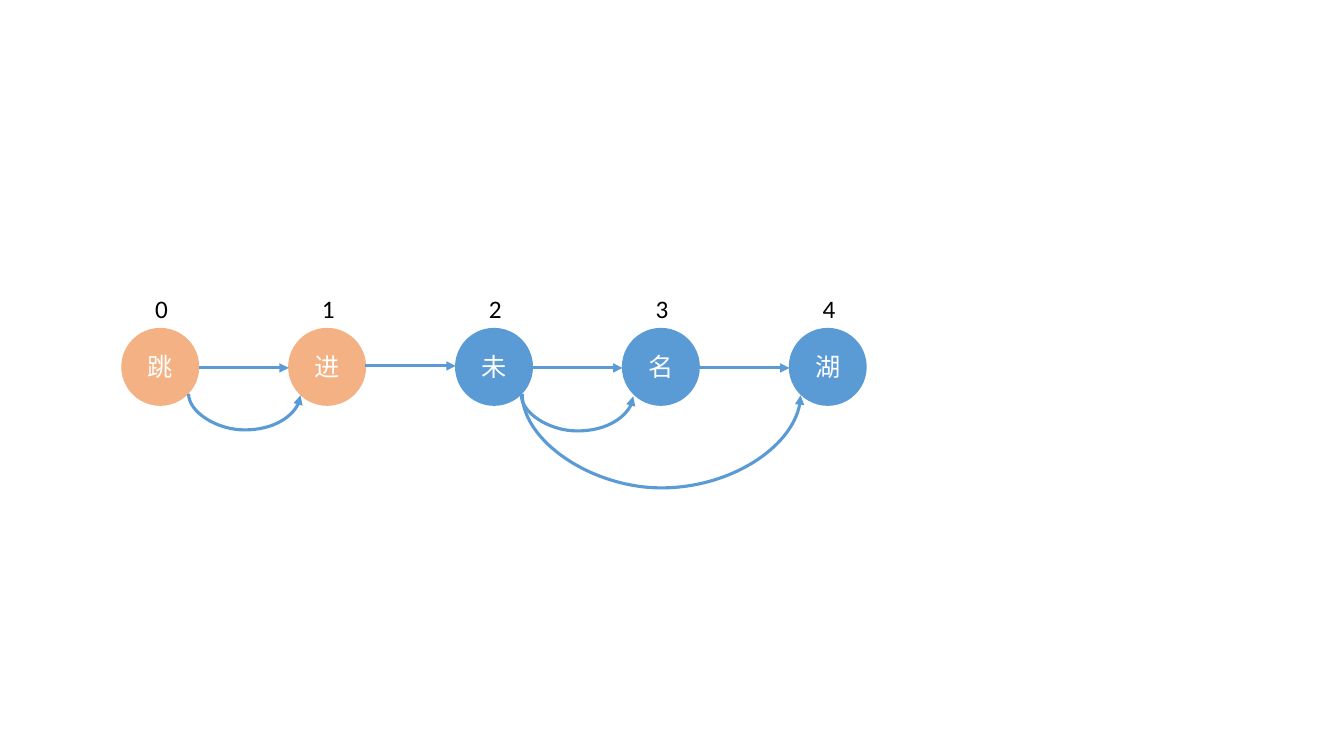
from dataclasses import dataclass

from lxml import etree
from pptx import Presentation
from pptx.dml.color import RGBColor
from pptx.enum.shapes import MSO_CONNECTOR, MSO_SHAPE
from pptx.enum.text import MSO_ANCHOR, PP_ALIGN
from pptx.oxml.ns import qn
from pptx.util import Inches, Pt

CIRCLE = MSO_SHAPE.OVAL
STRAIGHT = MSO_CONNECTOR.STRAIGHT
CURVE = MSO_CONNECTOR.CURVE
CENTER = PP_ALIGN.CENTER
LEFT = PP_ALIGN.LEFT
MIDDLE = MSO_ANCHOR.MIDDLE

BLUE = "5B9BD5"
ORANGE = "F4B183"
FIRST_LEFT = 1.21
PITCH = 1.655
NODE_TOP = 3.26
DIAMETER = 0.76
CURVE_THICKNESS = 1 / 72


@dataclass
class Node:
    character: str
    color: str


@dataclass
class Arc:
    left: float
    right: float
    middle: float
    depth: float


NODES = [
    Node("跳", ORANGE),
    Node("进", ORANGE),
    Node("未", BLUE),
    Node("名", BLUE),
    Node("湖", BLUE),
]
ARROW_HEIGHTS = [3.65, 3.63, 3.65, 3.65]
ARCS = [
    Arc(1.87, 2.98, 3.915, 0.36),
    Arc(5.17, 6.28, 3.925, 0.36),
    Arc(5.18, 7.94, 3.915, 0.94),
]


def rgb(color: str) -> RGBColor:
    return RGBColor.from_string(color)


def node_left(index: int) -> float:
    return FIRST_LEFT + index * PITCH


def write(frame, text: str, color: str, alignment) -> None:
    para = frame.paragraphs[0]
    para.alignment = alignment
    span = para.add_run()
    span.text = text
    span.font.name = "Calibri"
    span.font.size = Pt(18)
    span.font.color.rgb = rgb(color)


def draw_node(page, index: int, node: Node) -> None:
    circle = page.shapes.add_shape(
        CIRCLE, Inches(node_left(index)), Inches(NODE_TOP), Inches(DIAMETER), Inches(DIAMETER)
    )
    circle.shadow.inherit = False
    circle.fill.solid()
    circle.fill.fore_color.rgb = rgb(node.color)
    circle.line.color.rgb = rgb(node.color)
    circle.line.width = Pt(1)
    circle.text_frame.vertical_anchor = MIDDLE
    write(circle.text_frame, node.character, "FFFFFF", CENTER)


def draw_index(page, index: int) -> None:
    box = page.shapes.add_textbox(
        Inches(node_left(index) + 0.23), Inches(2.86), Inches(0.3), Inches(0.4)
    )
    box.text_frame.word_wrap = True
    write(box.text_frame, str(index), "000000", LEFT)


def draw_arrow(page, kind, start: tuple[float, float], end: tuple[float, float]):
    arrow = page.shapes.add_connector(kind, *map(Inches, (*start, *end)))
    arrow.line.color.rgb = rgb(BLUE)
    arrow.line.width = Pt(2.25)
    etree.SubElement(arrow.line._get_or_add_ln(), qn("a:tailEnd"), type="triangle")
    etree.SubElement(arrow.element.spPr, qn("a:effectLst"))
    return arrow


def draw_arc(page, arc: Arc) -> None:
    center = (arc.left + arc.right) / 2
    half_span = (arc.right - arc.left) / 2
    half_thickness = CURVE_THICKNESS / 2
    arrow = draw_arrow(
        page,
        CURVE,
        (center + half_thickness, arc.middle - half_span),
        (center - half_thickness, arc.middle + half_span),
    )
    properties = arrow.element.spPr
    properties.find(qn("a:xfrm")).set("rot", str(270 * 60000))
    adjustments = properties.find(qn("a:prstGeom")).find(qn("a:avLst"))
    bend = round(arc.depth / CURVE_THICKNESS * 100000)
    etree.SubElement(adjustments, qn("a:gd"), name="adj1", fmla=f"val {bend}")


deck = Presentation()
deck.slide_width = Inches(13.33)
deck.slide_height = Inches(7.5)
page = deck.slides.add_slide(deck.slide_layouts[6])

for index, node in enumerate(NODES):
    draw_node(page, index, node)
    draw_index(page, index)
for index, height in enumerate(ARROW_HEIGHTS):
    draw_arrow(
        page, STRAIGHT, (node_left(index) + DIAMETER, height), (node_left(index + 1), height)
    )
for arc in ARCS:
    draw_arc(page, arc)

deck.save("out.pptx")
